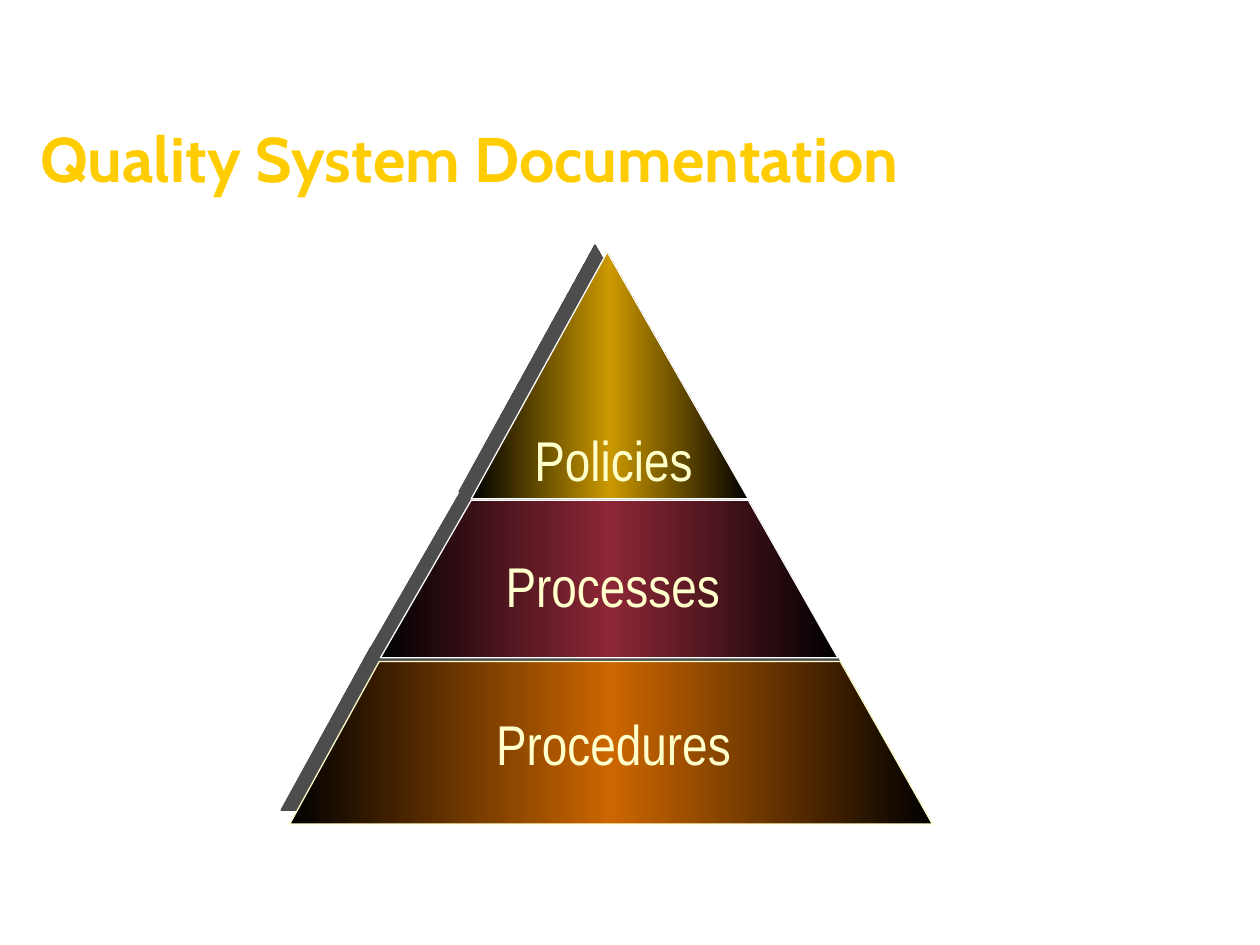
"""Builds the quality system documentation pyramid slide."""
from copy import deepcopy

from lxml import etree
from pptx import Presentation
from pptx.dml.color import RGBColor
from pptx.enum import text
from pptx.oxml import ns
from pptx.util import Inches, Pt

THEME = {
    "title": {"name": "Cabin", "size": Pt(36), "bold": True, "color": "FFCC00"},
    "label": {"name": "Arial Narrow", "size": Pt(32), "bold": False, "color": "FFFFCC"},
    "edge": "000000",
    "shadow": "4D4D4D",
}
TIERS = [
    {"label": "Procedures", "fill": "CC6600", "line": "FFFFCC", "cast": (9.4, 238),
     "points": [(6.67, 5.25), (7.4, 6.54), (2.3, 6.54), (3.01, 5.25)],
     "box": (3.58, 5.58, 2.58, 0.64)},
    {"label": "Processes", "fill": "8D2737", "line": "FFFFFF", "cast": (7.8, 220),
     "points": [(5.94, 3.97), (6.65, 5.22), (3.02, 5.22), (3.74, 3.97)],
     "box": (3.73, 4.33, 2.27, 0.64)},
    {"label": "Policies", "fill": "CC9900", "line": "FFFFFF", "cast": (8.1, 210),
     "points": [(4.82, 2), (5.94, 3.96), (3.74, 3.96)],
     "box": (3.99, 3.33, 1.76, 0.64)},
]


def write(shape, words, style, align, frame):
    body = shape.text_frame
    body.text = words
    for key, value in frame.items():
        setattr(body, key, value)
    para = body.paragraphs[0]
    para.alignment = align
    font = para.runs[0].font
    for key in ("name", "size", "bold"):
        setattr(font, key, style[key])
    font.color.rgb = RGBColor.from_string(style["color"])


def cast(shape, dist, angle):
    shape.shadow.inherit = False
    effects = shape._element.spPr.find(ns.qn("a:effectLst"))
    outer = etree.SubElement(effects, ns.qn("a:outerShdw"), blurRad="0",
                             dist=str(Pt(dist)), dir=str(angle * 60000),
                             algn="ctr", rotWithShape="0")
    etree.SubElement(outer, ns.qn("a:srgbClr"), val=THEME["shadow"])


deck = Presentation()
deck.slide_width, deck.slide_height = Inches(10), Inches(7.5)
slide = deck.slides.add_slide(deck.slide_layouts[5])

title = slide.shapes.title
title.left, title.top, title.width, title.height = map(Inches, (0.22, 0.9, 9.45, 0.7))
write(title, "Quality System Documentation", THEME["title"], text.PP_ALIGN.LEFT,
      {"vertical_anchor": text.MSO_ANCHOR.BOTTOM, "word_wrap": True,
       "auto_size": text.MSO_AUTO_SIZE.SHAPE_TO_FIT_TEXT})

for tier in TIERS:
    points = [(Inches(x), Inches(y)) for x, y in tier["points"]]
    pen = slide.shapes.build_freeform(*points[0])
    pen.add_line_segments(points[1:], close=True)
    shape = pen.convert_to_shape()
    shape.fill.gradient()
    shape.fill.gradient_angle = 180
    stops = shape._element.spPr.find(ns.qn("a:gradFill")).find(ns.qn("a:gsLst"))
    stops.append(deepcopy(stops[0]))
    shades = (THEME["edge"], tier["fill"], THEME["edge"])
    for stop, place, shade in zip(shape.fill.gradient_stops, (0, 0.5, 1), shades):
        stop.position = place
        stop.color.rgb = RGBColor.from_string(shade)
    shape.line.color.rgb = RGBColor.from_string(tier["line"])
    shape.line.width = Pt(0.75)
    cast(shape, *tier["cast"])

    label = slide.shapes.add_textbox(*map(Inches, tier["box"]))
    write(label, tier["label"], THEME["label"], text.PP_ALIGN.CENTER,
          {"word_wrap": False, "auto_size": text.MSO_AUTO_SIZE.SHAPE_TO_FIT_TEXT})

deck.save("out.pptx")
